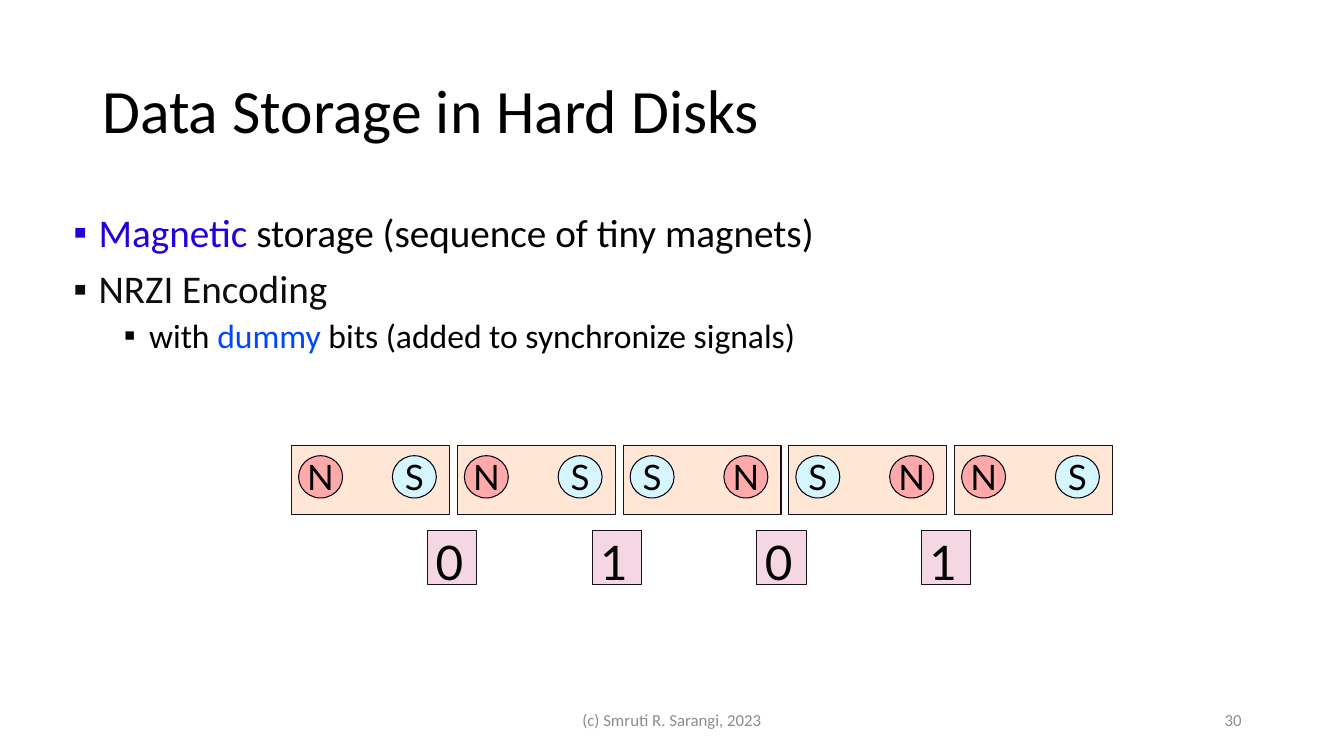
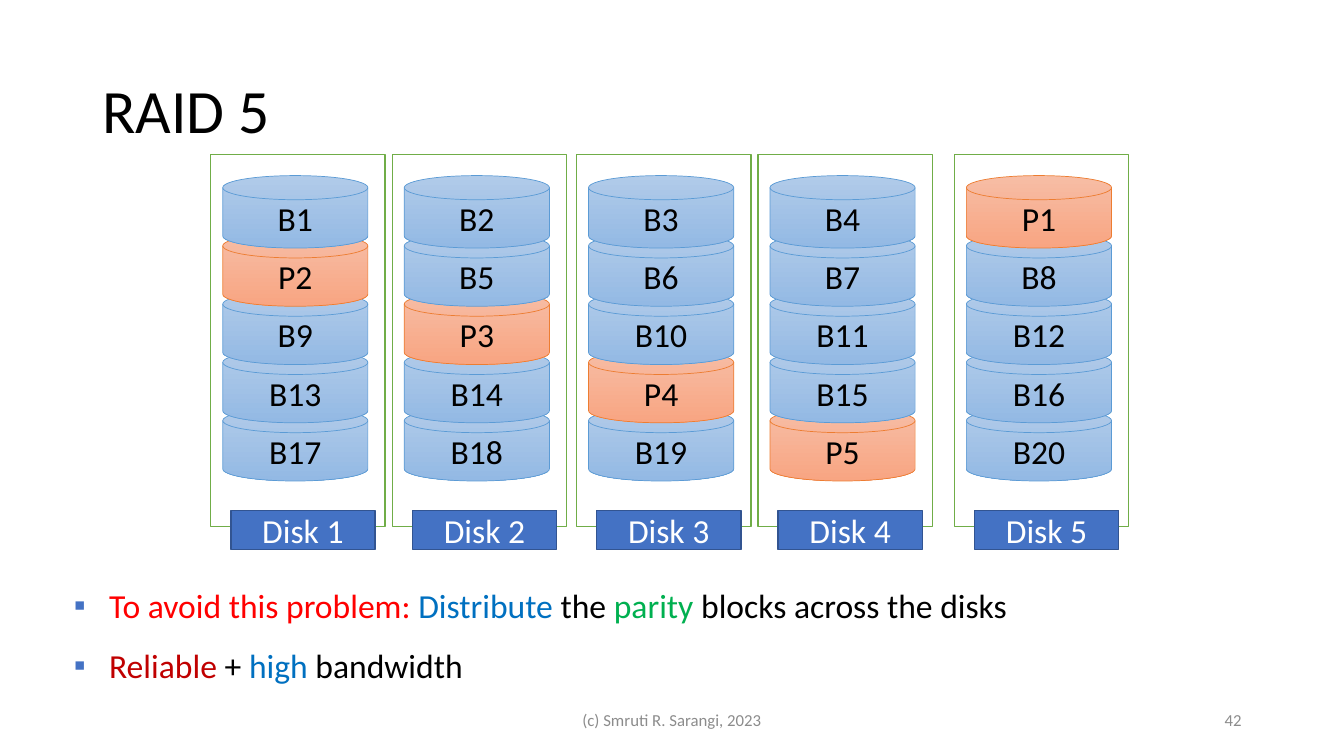
from lxml.etree import SubElement
from pptx import Presentation
from pptx.dml.color import RGBColor
from pptx.enum.shapes import MSO_SHAPE
from pptx.enum.text import MSO_ANCHOR, PP_ALIGN
from pptx.oxml.ns import qn
from pptx.util import Pt

COLORS = {
    "black": "000000", "white": "FFFFFF", "footer": "8C8C8C",
    "violet": "2300DC", "charcoal": "0D0D0D", "bright_blue": "0047FF",
    "magnet": "FFE6D5", "bit": "F4D7E3", "outline": "15111D",
    "north": "FFAAAA", "south": "D5F6FF", "pole_line": "00000F",
    "frame": "70AD47", "label": "4472C4", "label_line": "325491",
    "data_top": "B1CBE9", "data_bottom": "93B9E4", "data_line": "5B9BD5",
    "parity_top": "F7BDA5", "parity_bottom": "F8A582", "parity_line": "ED7D31",
    "red": "FF0000", "dark_red": "C00000", "blue": "0070C0", "green": "00B050",
}
BODY_FONT = "Calibri"
DIAGRAM_FONT = "Lato"
FOOTER = "(c) Smruti R. Sarangi, 2023"


def rgb(name):
    return RGBColor.from_string(COLORS[name])


def format_run(run, size, color, font=BODY_FONT):
    run.font.size = Pt(size)
    run.font.name = font
    run.font.color.rgb = rgb(color)


def set_insets(text_frame, left=0, top=0, right=0, bottom=0):
    text_frame.margin_left, text_frame.margin_top = Pt(left), Pt(top)
    text_frame.margin_right, text_frame.margin_bottom = Pt(right), Pt(bottom)


def add_text_box(slide, left, top, width, height, anchor=MSO_ANCHOR.TOP):
    box = slide.shapes.add_textbox(Pt(left), Pt(top), Pt(width), Pt(height))
    box.text_frame.word_wrap = True
    box.text_frame.vertical_anchor = anchor
    return box.text_frame


def add_line(slide, position, text, size, color, align=PP_ALIGN.LEFT):
    text_frame = add_text_box(slide, *position, MSO_ANCHOR.MIDDLE)
    text_frame.text = text
    paragraph = text_frame.paragraphs[0]
    paragraph.alignment = align
    paragraph.line_spacing = 0.9
    format_run(paragraph.runs[0], size, color)


def add_slide(presentation, title, number):
    slide = presentation.slides.add_slide(presentation.slide_layouts[6])
    add_line(slide, (66, 28.8, 828, 104.4), title, 44, "black")
    add_line(slide, (318, 500.5, 324, 28.8), FOOTER, 12, "footer", PP_ALIGN.CENTER)
    add_line(slide, (678, 500.5, 216, 28.8), number, 12, "footer", PP_ALIGN.RIGHT)
    return slide


def add_bullet(text_frame, runs, size, left, hanging, bullet_color):
    paragraph = text_frame.paragraphs[0]
    if paragraph.runs:
        paragraph = text_frame.add_paragraph()
    properties = paragraph._p.get_or_add_pPr()
    properties.set("marL", str(Pt(left)))
    properties.set("indent", str(-Pt(hanging)))
    bullet_fill = SubElement(properties, qn("a:buClr"))
    SubElement(bullet_fill, qn("a:srgbClr")).set("val", COLORS[bullet_color])
    SubElement(properties, qn("a:buFont")).set("typeface", "Arial")
    SubElement(properties, qn("a:buChar")).set("char", "▪")
    for text, color in runs:
        run = paragraph.add_run()
        run.text = text
        format_run(run, size, color)
    return paragraph


def add_figure(slide, kind, position, fill, line, line_width=0):
    shape = slide.shapes.add_shape(kind, *(Pt(value) for value in position))
    shape.shadow.inherit = False
    if isinstance(fill, tuple):
        shape.fill.gradient()
        shape.fill.gradient_angle = 270
        for stop, color in zip(shape.fill.gradient_stops, fill):
            stop.color.rgb = rgb(color)
    else:
        shape.fill.solid()
        shape.fill.fore_color.rgb = rgb(fill)
    shape.line.color.rgb = rgb(line)
    shape.line.width = Pt(line_width)
    set_insets(shape.text_frame)
    return shape


def write_label(shape, text, size, color="black", font=BODY_FONT,
                align=PP_ALIGN.CENTER, anchor=MSO_ANCHOR.MIDDLE):
    text_frame = shape.text_frame
    text_frame.text = text
    text_frame.vertical_anchor = anchor
    text_frame.paragraphs[0].alignment = align
    format_run(text_frame.paragraphs[0].runs[0], size, color, font)


def add_magnet(slide, left, poles):
    add_figure(slide, MSO_SHAPE.RECTANGLE, (left, 318.2, 112.8, 49), "magnet", "outline")
    for letter, offset in zip(poles, (5, 72)):
        fill = "north" if letter == "N" else "south"
        pole = add_figure(slide, MSO_SHAPE.OVAL, (left + offset, 325.5, 31.4, 30.2),
                          fill, "pole_line")
        pole.text_frame.word_wrap = False
        write_label(pole, letter, 25, font=DIAGRAM_FONT)


def add_bit(slide, left, digit):
    box = add_figure(slide, MSO_SHAPE.RECTANGLE, (left, 378.7, 35.3, 38.9), "bit", "outline")
    set_insets(box.text_frame, left=5.8, top=2.2)
    write_label(box, digit, 34, font=DIAGRAM_FONT,
                align=PP_ALIGN.LEFT, anchor=MSO_ANCHOR.TOP)


def add_block(slide, left, top, text, role):
    block = add_figure(slide, MSO_SHAPE.FLOWCHART_MAGNETIC_DISK, (left, top, 103.7, 51.8),
                       (f"{role}_top", f"{role}_bottom"), f"{role}_line", 0.5)
    write_label(block, text, 24)


def add_disk(slide, left, column, disk_count):
    add_figure(slide, MSO_SHAPE.FLOWCHART_PROCESS, (left, 110.4, 124.6, 265.7),
               "white", "frame", 1)
    for row in reversed(range(disk_count)):
        parity_column = (row - 1) % disk_count
        if column == parity_column:
            text, role = f"P{row + 1}", "parity"
        else:
            number = row * (disk_count - 1) + column + (column < parity_column)
            text, role = f"B{number}", "data"
        add_block(slide, left + 8.6, 125.4 + 41.6 * row, text, role)
    label = add_figure(slide, MSO_SHAPE.FLOWCHART_PROCESS, (left + 14.4, 364.5, 103, 28),
                       "label", "label_line", 1)
    write_label(label, f"Disk {column + 1}", 24, "white")


def build_storage_slide(presentation):
    slide = add_slide(presentation, "Data Storage in Hard Disks", "30")
    text_frame = add_text_box(slide, 45.4, 149, 828, 139)
    bullets = [
        ([("Magnetic", "violet"), (" storage (sequence of tiny magnets)", "black")],
         28, 18, "violet", 0),
        ([("NRZI Encoding", "charcoal")], 28, 18, "charcoal", 10),
        ([("with ", "black"), ("dummy", "bright_blue"),
          (" bits (added to synchronize signals)", "black")], 24, 54, "black", 5),
    ]
    for runs, size, left, bullet_color, space_before in bullets:
        paragraph = add_bullet(text_frame, runs, size, left, 18, bullet_color)
        paragraph.line_spacing = 0.9
        paragraph.space_before = Pt(space_before)
    for index, poles in enumerate(("NS", "NS", "SN", "SN", "NS")):
        add_magnet(slide, 208.3 + 118.4 * index, poles)
    for index, digit in enumerate("0101"):
        add_bit(slide, 305.3 + 117.6 * index, digit)


def build_raid_slide(presentation):
    slide = add_slide(presentation, "RAID 5", "42")
    disk_lefts = (150.5, 280.2, 411.8, 541.4, 681.7)
    for column, left in enumerate(disk_lefts):
        add_disk(slide, left, column, len(disk_lefts))
    text_frame = add_text_box(slide, 44, 417.6, 706, 76.3)
    set_insets(text_frame)
    bullets = [
        [("To avoid this problem: ", "red"), ("Distribute", "blue"), (" the ", "black"),
         ("parity", "green"), (" blocks across the disks", "black")],
        [("Reliable", "dark_red"), (" + ", "black"), ("high", "blue"),
         (" bandwidth", "black")],
    ]
    for runs in bullets:
        paragraph = add_bullet(text_frame, runs, 24, 34, 25.2, "label")
        paragraph.space_after = Pt(14.1)


def main():
    presentation = Presentation()
    presentation.slide_width, presentation.slide_height = Pt(960), Pt(540)
    build_storage_slide(presentation)
    build_raid_slide(presentation)
    presentation.save("out.pptx")


if __name__ == "__main__":
    main()
